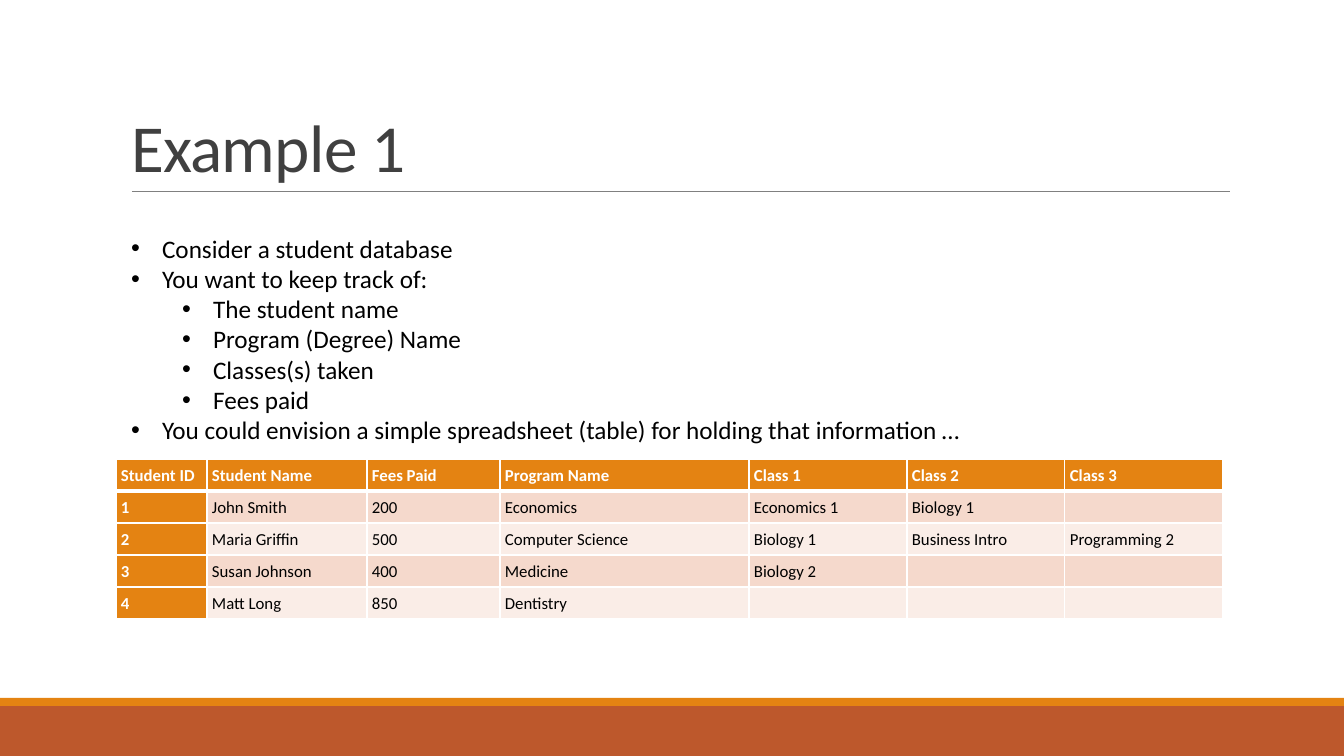
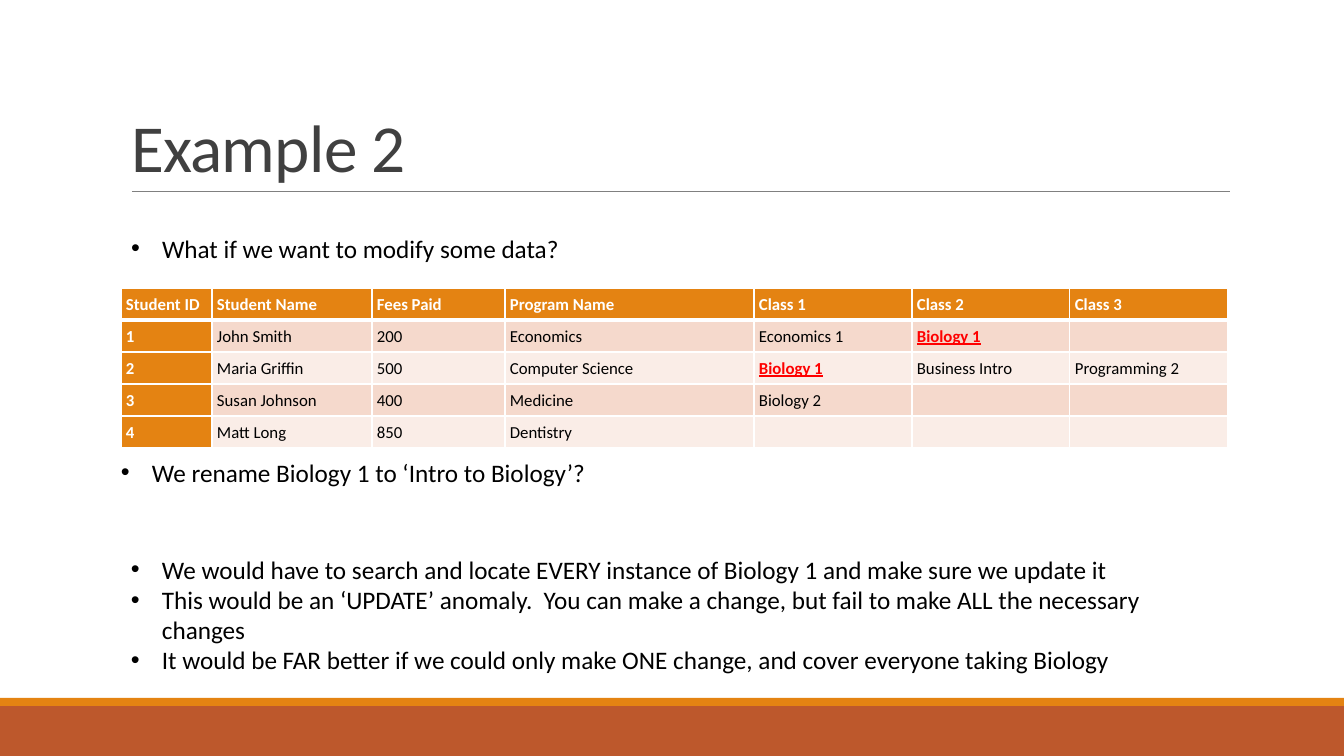
from dataclasses import dataclass

from lxml import etree
from pptx import Presentation
from pptx.dml.color import RGBColor
from pptx.enum.shapes import MSO_CONNECTOR, MSO_SHAPE
from pptx.enum.text import MSO_ANCHOR, MSO_AUTO_SIZE, PP_ALIGN
from pptx.oxml.ns import qn
from pptx.util import Pt

RECT, LINE = MSO_SHAPE.RECTANGLE, MSO_CONNECTOR.STRAIGHT
BOTTOM, MIDDLE, TOP = MSO_ANCHOR.BOTTOM, MSO_ANCHOR.MIDDLE, MSO_ANCHOR.TOP
LEFT, FIXED = PP_ALIGN.LEFT, MSO_AUTO_SIZE.NONE
SCALE = 914400 / 100.8  # EMU in one px


@dataclass(frozen=True)
class Theme:
    font: str = "Calibri"
    head: int = 48
    body: int = 18
    cell: int = 12
    title: str = "404040"
    ink: str = "000000"
    white: str = "FFFFFF"
    rule: str = "808080"
    rust: str = "BD582C"
    orange: str = "E48312"
    odd: str = "F5D9CC"
    even: str = "FAEDE7"
    alert: str = "FF0000"


T = Theme()

COLS = [91, 160, 133, 249, 158, 158, 158]
ROW = 32
ROWS = [
    ["Student ID", "Student Name", "Fees Paid", "Program Name", "Class 1", "Class 2", "Class 3"],
    ["1", "John Smith", "200", "Economics", "Economics 1", "Biology 1", ""],
    ["2", "Maria Griffin", "500", "Computer Science", "Biology 1", "Business Intro", "Programming 2"],
    ["3", "Susan Johnson", "400", "Medicine", "Biology 2", "", ""],
    ["4", "Matt Long", "850", "Dentistry", "", "", ""],
]

# Each list is a box in px and its lines of (level, text); the first fills the body placeholder.
PAGES = [
    {
        "title": "Example 1",
        "table": (116, 459),
        "mark": None,
        "lists": [
            ((121, 228, 1099, 224), [
                (0, "Consider a student database"),
                (0, "You want to keep track of:"),
                (1, "The student name"),
                (1, "Program (Degree) Name"),
                (1, "Classes(s) taken"),
                (1, "Fees paid"),
                (0, "You could envision a simple spreadsheet (table) for holding that information …"),
            ]),
        ],
    },
    {
        "title": "Example 2",
        "table": (121, 288),
        "mark": "Biology 1",
        "lists": [
            ((121, 228, 1099, 40), [(0, "What if we want to modify some data?")]),
            ((111, 452, 1099, 72), [(0, "We rename Biology 1 to ‘Intro to Biology’?")]),
            ((121, 549, 1099, 163), [
                (0, "We would have to search and locate EVERY instance of Biology 1 and make sure we update it"),
                (0, "This would be an ‘UPDATE’ anomaly.  You can make a change, "
                    "but fail to make ALL the necessary changes"),
                (0, "It would be FAR better if we could only make ONE change, and cover everyone taking Biology"),
            ]),
        ],
    },
]


def px(*sizes):
    """Turn px into EMU."""
    return [round(size * SCALE) for size in sizes]


def write(para, text, size=T.body, color=T.ink, bold=False, under=False,
          line=1.0, after=0, track=0, level=None):
    """Fill a paragraph; a level makes it a bullet."""
    para.alignment = LEFT
    para.line_spacing = line
    para.space_before, para.space_after = Pt(0), Pt(after)
    if level is not None:
        para.level = level
        props = para._p.get_or_add_pPr()
        margin, hang = px(31 + 51 * level, -31)
        props.set("marL", str(margin))
        props.set("indent", str(hang))
        etree.SubElement(props, qn("a:buFont"), typeface="Arial")
        etree.SubElement(props, qn("a:buChar"), char="•")
    if not text:
        etree.SubElement(para._p, qn("a:endParaRPr"), sz=str(size * 100))
        return
    run = para.add_run()
    run.text = text
    font = run.font
    font.name, font.size = T.font, Pt(size)
    font.bold, font.underline = bold, under
    font.color.rgb = RGBColor.from_string(color)
    if track:
        run._r.get_or_add_rPr().set("spc", str(track))


deck = Presentation()
deck.slide_width, deck.slide_height = px(1344, 756)
layout = deck.slide_layouts[1]
slides = [deck.slides.add_slide(layout) for page in PAGES]

# Shared title place, bands and rule live on the layout.
head = layout.placeholders[0]
head.left, head.top, head.width, head.height = px(121, 31, 1109, 160)
head.text_frame.vertical_anchor = BOTTOM
head.text_frame.auto_size = FIXED

shared = []
for top, height, color in [(706, 50, T.rust), (698, 8, T.orange)]:
    band = slides[0].shapes.add_shape(RECT, *px(0, top, 1344, height))
    band.shadow.inherit = False
    band.fill.solid()
    band.fill.fore_color.rgb = RGBColor.from_string(color)
    band.line.fill.background()
    shared.append(band)
rule = slides[0].shapes.add_connector(LINE, *px(132, 191, 1230, 191))
rule.line.color.rgb = RGBColor.from_string(T.rule)
rule.line.width = Pt(0.5)
etree.SubElement(rule.element.spPr, qn("a:effectLst"))
shared.append(rule)
for num, shape in enumerate(shared, 50):
    shape.element.xpath(".//p:cNvPr")[0].set("id", str(num))
    layout.shapes.element.append(shape.element)

for slide, page in zip(slides, PAGES):
    shapes = slide.shapes
    write(shapes.title.text_frame.paragraphs[0], page["title"],
          size=T.head, color=T.title, line=0.85, track=-50)

    for num, (area, lines) in enumerate(page["lists"]):
        if num == 0:
            box = slide.placeholders[1]
            box.left, box.top, box.width, box.height = px(*area)
        else:
            box = shapes.add_textbox(*px(*area))
        frame = box.text_frame
        frame.word_wrap, frame.auto_size, frame.vertical_anchor = True, FIXED, TOP
        for spot, (level, text) in enumerate(lines):
            para = frame.add_paragraph() if spot else frame.paragraphs[0]
            write(para, text, level=level)

    place = px(*page["table"], sum(COLS), ROW * len(ROWS))
    table = shapes.add_table(len(ROWS), len(COLS), *place).table
    table.first_col = True
    for col, width in zip(table.columns, px(*COLS)):
        col.width = width
    for r, texts in enumerate(ROWS):
        table.rows[r].height = px(ROW)[0]
        for c, text in enumerate(texts):
            cell = table.cell(r, c)
            cell.margin_left, cell.margin_right, cell.margin_top, cell.margin_bottom = px(5, 5, 5, 5)
            cell.vertical_anchor = MIDDLE
            thick = {"lnT": r == 1, "lnB": r == 0}
            for side in ("lnL", "lnR", "lnT", "lnB"):
                edge = etree.SubElement(cell._tc.get_or_add_tcPr(), qn("a:" + side),
                                        w=str(Pt(3 if thick.get(side) else 1)))
                fill = etree.SubElement(edge, qn("a:solidFill"))
                etree.SubElement(fill, qn("a:srgbClr"), val=T.white)
            label = r == 0 or c == 0
            mark = bool(text) and text == page["mark"]
            shade = T.orange if label else T.odd if r % 2 else T.even
            cell.fill.solid()
            cell.fill.fore_color.rgb = RGBColor.from_string(shade)
            write(cell.text_frame.paragraphs[0], text, size=T.cell,
                  color=T.white if label else T.alert if mark else T.ink,
                  bold=label or mark, under=mark, line=1.07, after=18)

deck.save("out.pptx")
